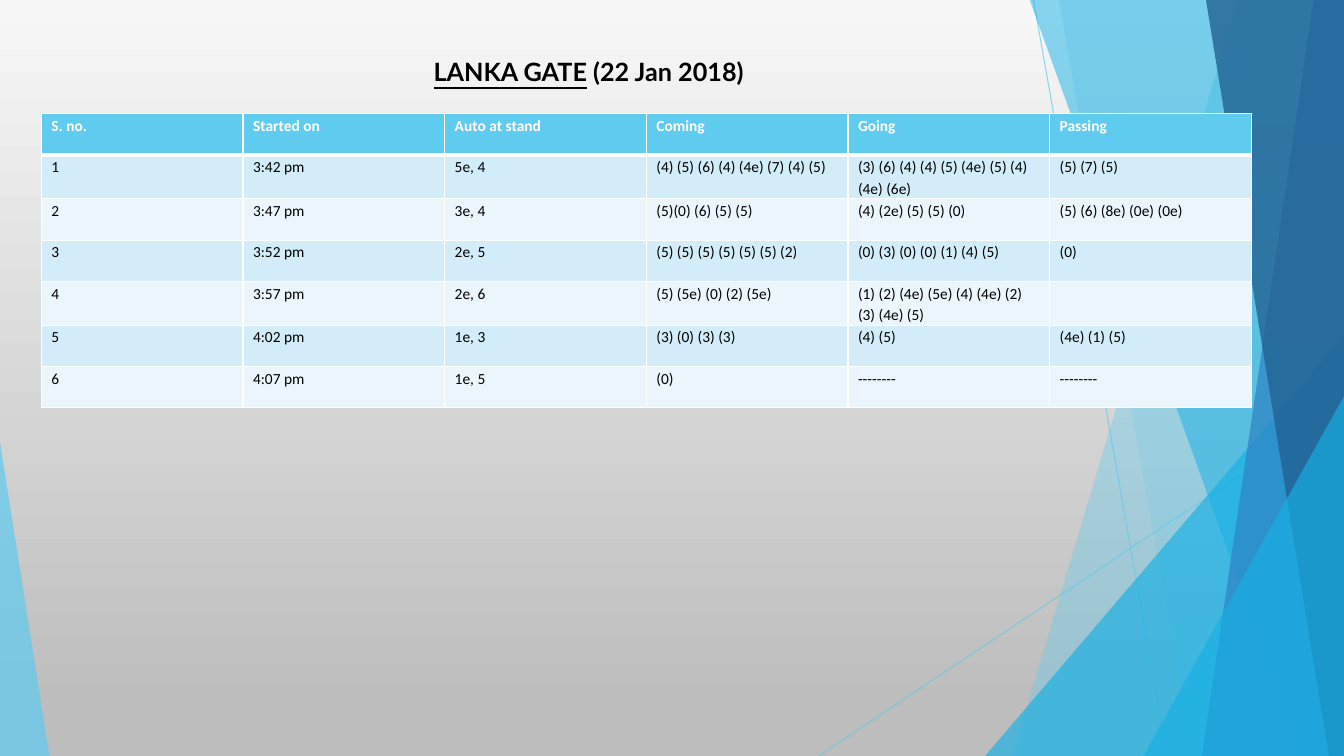
"""Build the Lanka Gate auto count slide: faceted backdrop, title and table."""
from dataclasses import dataclass

from lxml import etree
from pptx import Presentation
from pptx.dml.color import RGBColor
from pptx.enum.shapes import MSO_CONNECTOR, MSO_SHAPE
from pptx.enum.text import MSO_ANCHOR, MSO_AUTO_SIZE, PP_ALIGN
from pptx.oxml.ns import qn
from pptx.util import Inches, Pt

STRAIGHT = MSO_CONNECTOR.STRAIGHT
TRIANGLE = MSO_SHAPE.ISOSCELES_TRIANGLE
TOP = MSO_ANCHOR.TOP
NO_FIT = MSO_AUTO_SIZE.NONE
LEFT = PP_ALIGN.LEFT


@dataclass(frozen=True)
class Theme:
    sky: str = "5FCBEF"
    cyan: str = "17B0E4"
    blue: str = "2E83C3"
    navy: str = "226292"
    band_dark: str = "D2ECF9"
    band_light: str = "EAF6FC"
    white: str = "FFFFFF"
    black: str = "000000"
    bg_top: str = "F7F7F7"
    bg_bottom: str = "BDBDBD"
    title_font: str = "Lato"
    table_font: str = "Calibri"
    title_size: int = 18
    table_size: int = 11


T = Theme()
W, H = 13.33, 7.5


def add_run(p, text, font=T.table_font, size=T.table_size, color=T.black,
            bold=False, underline=False):
    r = p.add_run()
    r.text = text
    r.font.name = font
    r.font.size = Pt(size)
    r.font.bold = bold
    r.font.underline = underline
    r.font.color.rgb = RGBColor.from_string(color)


def set_opacity(sp, percent):
    color = sp._element.spPr.find(".//" + qn("a:srgbClr"))
    etree.SubElement(color, qn("a:alpha"), val=str(percent * 1000))


prs = Presentation()
prs.slide_width, prs.slide_height = Inches(W), Inches(H)
s = prs.slides.add_slide(prs.slide_layouts[5])

bg = s.background.fill
bg.gradient()
bg.gradient_angle = 270
for stop, color, position in zip(bg.gradient_stops, (T.bg_top, T.bg_bottom), (0, 0.94)):
    stop.color.rgb = RGBColor.from_string(color)
    stop.position = position

for x1, y1, x2, y2 in ((10.25, 0, 11.58, H), (W, 4.03, 8.12, H)):
    line = s.shapes.add_connector(STRAIGHT, Inches(x1), Inches(y1), Inches(x2), Inches(y2))
    line.line.width = Pt(0.75)
    line.line.color.rgb = RGBColor.from_string(T.sky)
    set_opacity(line, 70)
    etree.SubElement(line._element.spPr, qn("a:effectLst"))

facets = [
    ("band", (12.28, 10.04), T.sky, 36),
    ("band", (10.5, 11.83), T.sky, 20),
    ("triangle", (9.77, 3.33, 3.56, 1), T.cyan, 66),
    ("band", (10.21, 12.91), T.cyan, 50),
    ("band", (13.03, 11.92), T.blue, 70),
    ("band", (11.96, 13.18), T.navy, 80),
    ("triangle", (11.34, 3.93, 1.99, 1), T.cyan, 66),
    ("triangle", (0, 4.39, 0.49, 0), T.sky, 70),
]
for kind, geometry, color, opacity in facets:
    if kind == "band":
        top_x, bottom_x = geometry
        outline = s.shapes.build_freeform(Inches(top_x), Inches(-0.01))
        corners = ((W, -0.01), (W, H), (bottom_x, H))
        outline.add_line_segments([(Inches(x), Inches(y)) for x, y in corners])
        sp = outline.convert_to_shape()
    else:
        x, y, width, apex = geometry
        sp = s.shapes.add_shape(TRIANGLE, Inches(x), Inches(y), Inches(width), Inches(H - y))
        sp.adjustments[0] = apex
    sp.shadow.inherit = False
    sp.line.fill.background()
    sp.fill.solid()
    sp.fill.fore_color.rgb = RGBColor.from_string(color)
    set_opacity(sp, opacity)

rows = [
    ("S. no.", "Started on", "Auto at stand", "Coming", "Going", "Passing"),
    ("1", "3:42 pm", "5e, 4", "(4) (5) (6) (4) (4e) (7) (4) (5)",
     "(3) (6) (4) (4) (5) (4e) (5) (4) (4e) (6e)", "(5) (7) (5)"),
    ("2", "3:47 pm", "3e, 4", "(5)(0) (6) (5) (5)", "(4) (2e) (5) (5) (0)",
     "(5) (6) (8e) (0e) (0e)"),
    ("3", "3:52 pm", "2e, 5", "(5) (5) (5) (5) (5) (5) (2)",
     "(0) (3) (0) (0) (1) (4) (5)", "(0)"),
    ("4", "3:57 pm", "2e, 6", "(5) (5e) (0) (2) (5e)",
     "(1) (2) (4e) (5e) (4) (4e) (2) (3) (4e) (5)", ""),
    ("5", "4:02 pm", "1e, 3", "(3) (0) (3) (3)", "(4) (5)", "(4e) (1) (5)"),
    ("6", "4:07 pm", "1e, 5", "(0)", "--------", "--------"),
]
table = s.shapes.add_table(len(rows), len(rows[0]), Inches(0.41), Inches(1.13),
                           Inches(12), Inches(0.41 * len(rows))).table
table.horz_banding = False
for col in table.columns:
    col.width = Inches(2)
for i, row in enumerate(rows):
    table.rows[i].height = Inches(0.41)
    header = i == 0
    fill = T.sky if header else T.band_dark if i % 2 else T.band_light
    borders = {"L": 1, "R": 1, "T": 3 if i == 1 else 1, "B": 3 if header else 1}
    for j, text in enumerate(row):
        cell = table.cell(i, j)
        cell.margin_left = cell.margin_right = Inches(0.1)
        cell.margin_top = cell.margin_bottom = 0
        tcPr = cell._tc.get_or_add_tcPr()
        for side, width in borders.items():
            ln = etree.SubElement(tcPr, qn(f"a:ln{side}"), w=str(Pt(width)))
            solid = etree.SubElement(ln, qn("a:solidFill"))
            etree.SubElement(solid, qn("a:srgbClr"), val=T.white)
        cell.fill.solid()
        cell.fill.fore_color.rgb = RGBColor.from_string(fill)
        p = cell.text_frame.paragraphs[0]
        p.line_spacing = 1.15
        if text:
            add_run(p, text, color=T.white if header else T.black, bold=header)

title = s.shapes.title
title.left, title.top = Inches(4.2), Inches(0.51)
title.width, title.height = Inches(3.37), Inches(0.4)
tf = title.text_frame
tf.word_wrap = False
tf.auto_size = NO_FIT
tf.vertical_anchor = TOP
p = tf.paragraphs[0]
p.alignment = LEFT
for text, underline in (("LANKA GATE", True), (" (22 Jan 2018)", False)):
    add_run(p, text, font=T.title_font, size=T.title_size, bold=True, underline=underline)

prs.save("out.pptx")
